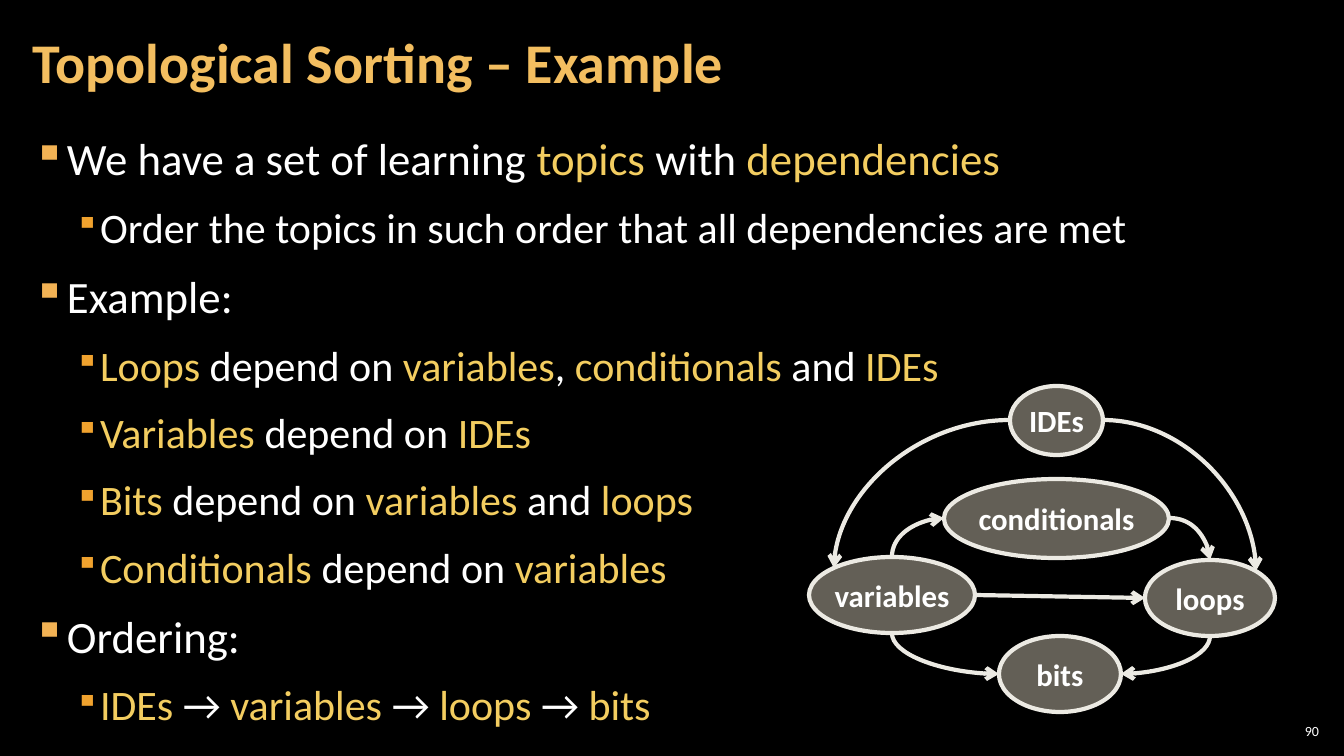
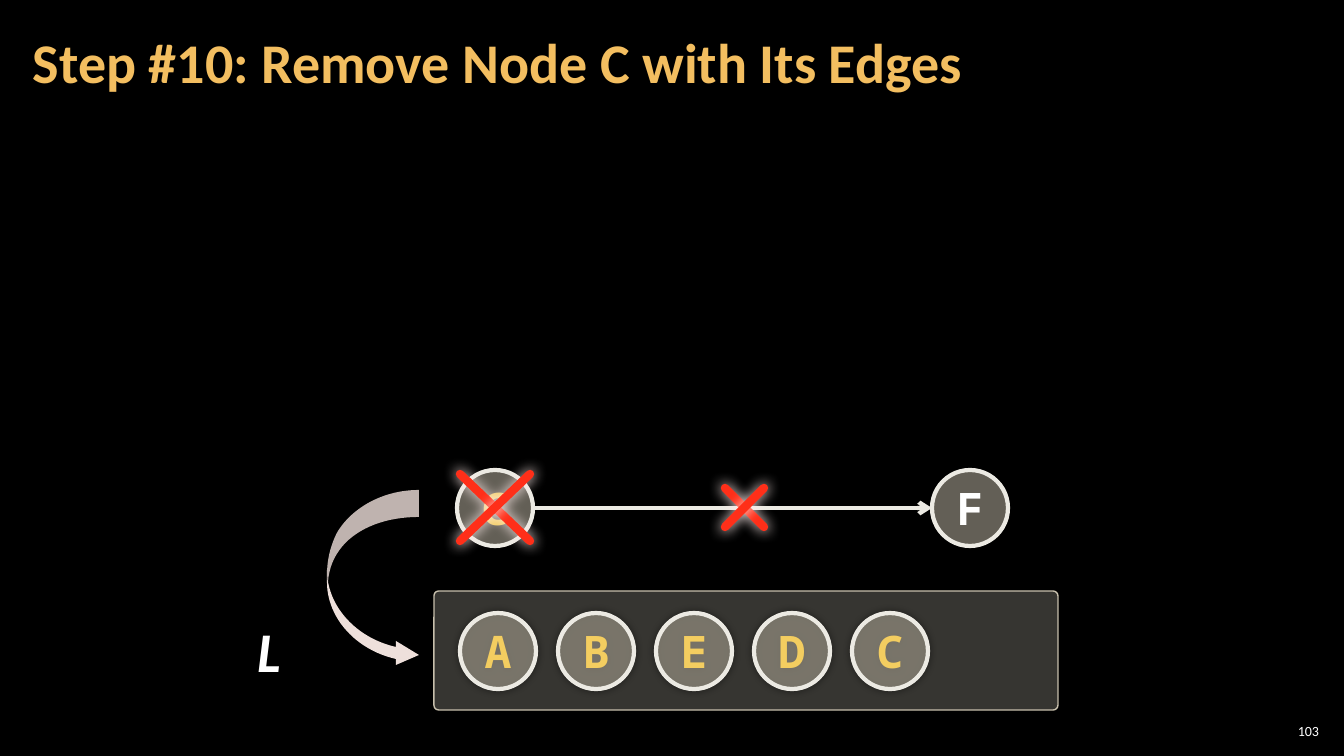
from lxml import etree
from pptx import Presentation
from pptx import util as u
from pptx.dml.color import RGBColor
from pptx.enum import shapes, text
from pptx.oxml import ns

SCALE = 12192000 / 1344  # EMU per px
FONT, MONO = "Calibri", "Noto Sans Mono"
COLORS = {
    "background": "000000", "white": "FFFFFF", "title": "F3BE60",
    "accent": "F3CD60", "bullet": "F2B254", "sub_bullet": "F0A22E",
    "node": "C7BFAC", "edge": "ECEAE3", "box": "D9D5C7",
    "cross": "FF2F19", "glow": "FFEDEB",
    "arrow": "EEE0DB", "arrow_dark": "BFB3AF",
}
LEVELS = [
    {"size": 32, "left": 34, "hang": 34, "color": "bullet", "percent": 100},
    {"size": 30, "left": 67, "hang": 25, "color": "sub_bullet", "percent": 80},
]
# Level and text of each line; asterisks enclose accented words.
BODY = [
    (0, "We have a set of learning *topics* with *dependencies*"),
    (1, "Order the topics in such order that all dependencies are met"),
    (0, "Example:"),
    (1, "*Loops* depend on *variables*, *conditionals* and *IDEs*"),
    (1, "*Variables* depend on *IDEs*"),
    (1, "*Bits* depend on *variables* and *loops*"),
    (1, "*Conditionals* depend on *variables*"),
    (0, "Ordering:"),
    (1, "*IDEs* → *variables* → *loops* → *bits*"),
]
TOPICS = {
    "variables": (809, 557, 166, 76),
    "IDEs": (1010, 386, 93, 69),
    "conditionals": (944, 479, 225, 79),
    "loops": (1145, 560, 130, 76),
    "bits": (999, 636, 122, 76),
}
# Each curve leaves its first point level and meets its second upright.
CURVES = [
    ((1010, 420), (834, 568), "tail"),
    ((1103, 420), (1256, 571), "tail"),
    ((1169, 518), (1210, 560), "tail"),
    ((1121, 674), (1210, 636), "head"),
    ((999, 674), (892, 633), "head"),
    ((944, 518), (892, 557), "head"),
]
NODE = 76


def px(n):
    return u.Emu(round(n * SCALE))


def rgb(name):
    return RGBColor.from_string(COLORS[name])


def add_xml(parent, tag, **attrs):
    return etree.SubElement(parent, ns.qn(tag), attrs)


def add_color(parent, name, alpha=100):
    clr = add_xml(parent, "a:srgbClr", val=COLORS[name])
    if alpha < 100:
        add_xml(clr, "a:alpha", val=str(alpha * 1000))


def add_effects(parent, glow):
    """Add the effect list, holding a centred blur if glow is given."""
    if glow:
        color, alpha, blur = glow
        shadow = add_xml(parent, "a:outerShdw", blurRad=str(u.Pt(blur)), dist="0",
                         algn="ctr", rotWithShape="0")
        add_color(shadow, color, alpha)


def add_run(p, words, size, color="white", font=FONT, bold=False, italic=False):
    r = p.add_run()
    r.text = words
    style = {"size": u.Pt(size), "name": font, "bold": bold, "italic": italic}
    for key, value in style.items():
        setattr(r.font, key, value)
    r.font.color.rgb = rgb(color)


def set_frame(tf, inset=(0, 0), anchor=text.MSO_ANCHOR.MIDDLE, wrap=True):
    side, end = map(px, inset)
    frame = {"margin_left": side, "margin_right": side, "margin_top": end,
             "margin_bottom": end, "vertical_anchor": anchor,
             "auto_size": text.MSO_AUTO_SIZE.NONE, "word_wrap": wrap}
    for key, value in frame.items():
        setattr(tf, key, value)


def add_label(s, box, words, align, size, **style):
    tf = s.shapes.add_textbox(*map(px, box)).text_frame
    set_frame(tf, (4, 4))
    p = tf.paragraphs[0]
    p.alignment = align
    add_run(p, words, size, **style)


def add_slide(prs, title, number):
    s = prs.slides.add_slide(prs.slide_layouts[5])
    sp = s.shapes.title
    for key, value in zip(("left", "top", "width", "height"), (21, 4, 1055, 122)):
        setattr(sp, key, px(value))
    set_frame(sp.text_frame, (12, 4))
    p = sp.text_frame.paragraphs[0]
    p.alignment = text.PP_ALIGN.LEFT
    p.line_spacing = 0.9
    add_run(p, title, 40, "title", bold=True)
    add_label(s, (1275, 720, 48, 21), number, text.PP_ALIGN.RIGHT, 10)
    return s


def add_bullets(s, box, lines):
    tf = s.shapes.add_textbox(*map(px, box)).text_frame
    set_frame(tf, (12, 4), text.MSO_ANCHOR.TOP)
    for i, (depth, line) in enumerate(lines):
        level = LEVELS[depth]
        p = tf.paragraphs[0] if i == 0 else tf.add_paragraph()
        p.level = depth
        p.space_before = u.Pt(6 if i else 0)
        p.space_after = u.Pt(6)
        pPr = p._p.get_or_add_pPr()
        pPr.set("marL", str(px(level["left"])))
        pPr.set("indent", str(-px(level["hang"])))
        add_color(add_xml(pPr, "a:buClr"), level["color"])
        add_xml(pPr, "a:buSzPct", val=str(level["percent"] * 1000))
        add_xml(pPr, "a:buChar", char="▪")
        for j, words in enumerate(line.split("*")):
            if words:
                add_run(p, words, level["size"], "accent" if j % 2 else "white")


def add_panel(s, kind, box, fill, alpha, line, width, glow=None):
    """Add a preset shape with a see-through fill."""
    sp = s.shapes.add_shape(kind, *map(px, box))
    sp.fill.solid()
    sp.fill.fore_color.rgb = rgb(fill)
    clr = sp.fill._xPr.find(ns.qn("a:solidFill"))[0]
    add_xml(clr, "a:alpha", val=str(alpha * 1000))
    sp.line.color.rgb = rgb(line)
    sp.line.width = u.Pt(width)
    sp.shadow.inherit = False
    add_effects(sp._element.spPr.find(ns.qn("a:effectLst")), glow)
    return sp


def add_node(s, box, words, size=32, color="accent", font=MONO, glow=None):
    sp = add_panel(s, shapes.MSO_SHAPE.OVAL, box, "node", 50, "edge", 3, glow)
    set_frame(sp.text_frame, wrap=False)
    p = sp.text_frame.paragraphs[0]
    p.alignment = text.PP_ALIGN.CENTER
    add_run(p, words, size, color, font, bold=True)


def add_line(s, start, end, color="edge", width=3, arrow=None, curved=False, glow=None):
    kind = shapes.MSO_CONNECTOR.CURVE if curved else shapes.MSO_CONNECTOR.STRAIGHT
    cxn = s.shapes.add_connector(kind, *map(px, start + end))
    cxn.line.color.rgb = rgb(color)
    cxn.line.width = u.Pt(width)
    spPr = cxn._element.spPr
    if curved:
        spPr.find(ns.qn("a:prstGeom")).set("prst", "curvedConnector2")
    ln = cxn.line._get_or_add_ln()
    if arrow:
        add_xml(ln, f"a:{arrow}End", type="arrow")
    else:
        ln.set("cap", "rnd")
    add_effects(add_xml(spPr, "a:effectLst"), glow)


def add_cross(s, x, y, w, h):
    for top, bottom in ((y, y + h), (y + h, y)):
        add_line(s, (x, top), (x + w, bottom), "cross", 6, glow=("glow", 100, 10))


def bezier(*points, steps=24):
    """Return points along a cubic curve, without its start."""
    curve = []
    for i in range(1, steps + 1):
        t = i / steps
        weights = ((1 - t) ** 3, 3 * t * (1 - t) ** 2, 3 * t * t * (1 - t), t ** 3)
        curve.append(tuple(sum(k * v for k, v in zip(weights, axis))
                           for axis in zip(*points)))
    return curve


def add_outline(s, points, color):
    start, *rest = [(px(x), px(y)) for x, y in points]
    builder = s.shapes.build_freeform(*start, scale=1.0)
    builder.add_line_segments(rest, close=True)
    sp = builder.convert_to_shape()
    sp.fill.solid()
    sp.fill.fore_color.rgb = rgb(color)
    sp.line.fill.background()
    sp.shadow.inherit = False


def add_swoop(s):
    """Add the bent arrow that leads from the graph into the list."""
    lower = [(327, 570), *bezier((327, 570), (327, 606), (356, 638), (396, 647)),
             (396, 641), (419, 655), (396, 665), (396, 659),
             *bezier((396, 659), (356, 650), (327, 618), (327, 582))]
    upper = [(419, 517), *bezier((419, 517), (371, 517), (331, 540), (328, 582)),
             *bezier((328, 582), (325, 567), (330, 545), (338, 531)),
             *bezier((338, 531), (354, 506), (385, 490), (419, 490))]
    add_outline(s, lower, "arrow")
    add_outline(s, upper, "arrow_dark")


def build_example(prs):
    s = add_slide(prs, "Topological Sorting – Example", "90")
    add_bullets(s, (21, 127, 1302, 614), BODY)
    for topic, box in TOPICS.items():
        add_node(s, box, topic, 22, "white", FONT)
    for start, end, arrow in CURVES:
        add_line(s, start, end, arrow=arrow, curved=True)
    add_line(s, (975, 595), (1145, 598), arrow="tail")


def build_step(prs):
    s = add_slide(prs, "Step #10: Remove Node C with Its Edges", "103")
    box = add_panel(s, shapes.MSO_SHAPE.ROUNDED_RECTANGLE, (434, 591, 624, 119),
                    "box", 25, "node", 1)
    box.adjustments[0] = 0.04
    add_node(s, (457, 470, NODE, NODE), "C")
    add_node(s, (932, 470, NODE, NODE), "F", color="white")
    add_line(s, (533, 508), (932, 508), arrow="tail")
    add_label(s, (227, 613, 84, 75), "L", text.PP_ALIGN.CENTER, 40,
              bold=True, italic=True)
    for i, letter in enumerate("ABEDC"):
        add_node(s, (460 + 98 * i, 613, NODE, NODE), letter,
                 glow=("background", 40, 5))
    add_cross(s, 460, 474, 70, 67)
    add_cross(s, 725, 488, 39, 39)
    add_swoop(s)


def main():
    prs = Presentation()
    prs.slide_width, prs.slide_height = px(1344), px(756)
    fill = prs.slide_master.background.fill
    fill.solid()
    fill.fore_color.rgb = rgb("background")
    build_example(prs)
    build_step(prs)
    prs.save("out.pptx")


if __name__ == "__main__":
    main()
